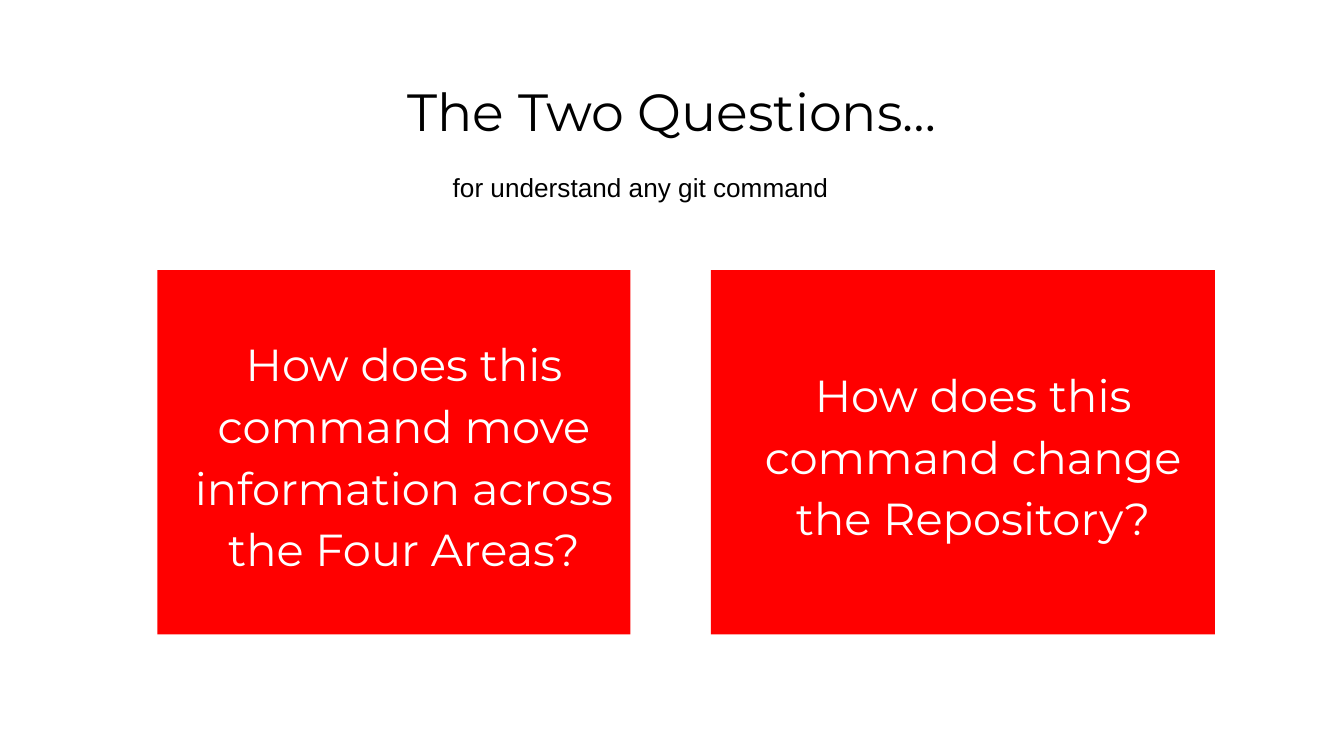
from dataclasses import dataclass

from pptx import Presentation
from pptx import util as u
from pptx.dml.color import RGBColor
from pptx.enum import shapes, text

EMU_PER_PX = 4572  # 200 px to the inch


@dataclass(frozen=True)
class Theme:
    black: RGBColor = RGBColor(0, 0, 0)
    white: RGBColor = RGBColor(255, 255, 255)
    red: RGBColor = RGBColor(255, 0, 0)
    display_font: str = "Montserrat"
    plain_font: str = "Arial"
    title_size: int = 28
    question_size: int = 24
    subtitle_size: int = 14


@dataclass(frozen=True)
class Box:
    left: int
    top: int
    width: int
    height: int

    def emu(self) -> tuple[int, ...]:
        return tuple(px(n) for n in (self.left, self.top, self.width, self.height))


@dataclass(frozen=True)
class Question:
    left: int
    width: int
    wording: str


THEME = Theme()
SLIDE_WIDTH, SLIDE_HEIGHT = 2000, 1125
TITLE_BOX = Box(68, 98, 1864, 126)
SUBTITLE_BOX = Box(654, 246, 602, 68)
CARD_TOP, CARD_HEIGHT, CARD_INDENT = 402, 542, 30
INSET = 20
QUESTIONS = (
    Question(234, 704, "How does this command move information across the Four Areas?"),
    Question(1058, 750, "How does this command change the Repository?"),
)


def px(length: int) -> int:
    return u.Emu(length * EMU_PER_PX)


def write(shape, wording: str, font: str, size: int, color: RGBColor,
          align=text.PP_ALIGN.CENTER, anchor=text.MSO_ANCHOR.TOP):
    """Fill a shape with one styled paragraph and return the paragraph."""
    frame = shape.text_frame
    frame.vertical_anchor = anchor
    paragraph = frame.paragraphs[0]
    paragraph.alignment = align
    run = paragraph.add_run()
    run.text = wording
    run.font.name = font
    run.font.size = u.Pt(size)
    run.font.color.rgb = color
    return paragraph


def set_insets(shape) -> None:
    frame = shape.text_frame
    frame.word_wrap = True
    frame.margin_left = frame.margin_right = px(INSET)
    frame.margin_top = frame.margin_bottom = px(INSET)


def add_title(slide) -> None:
    shape = slide.shapes.add_textbox(*TITLE_BOX.emu())
    set_insets(shape)
    write(shape, "The Two Questions…", THEME.display_font, THEME.title_size, THEME.black)


def add_subtitle(slide) -> None:
    shape = slide.shapes.add_textbox(*SUBTITLE_BOX.emu())
    shape.text_frame.word_wrap = False
    shape.text_frame.auto_size = text.MSO_AUTO_SIZE.SHAPE_TO_FIT_TEXT
    write(shape, "for understand any git command", THEME.plain_font,
          THEME.subtitle_size, THEME.black, align=text.PP_ALIGN.LEFT)


def add_question(slide, question: Question) -> None:
    box = Box(question.left, CARD_TOP, question.width, CARD_HEIGHT)
    shape = slide.shapes.add_shape(shapes.MSO_SHAPE.RECTANGLE, *box.emu())
    shape.shadow.inherit = False
    shape.fill.solid()
    shape.fill.fore_color.rgb = THEME.red
    shape.line.fill.background()
    set_insets(shape)
    paragraph = write(shape, question.wording, THEME.display_font, THEME.question_size,
                      THEME.white, anchor=text.MSO_ANCHOR.MIDDLE)
    paragraph.line_spacing = 1.15
    properties = paragraph._p.get_or_add_pPr()
    properties.set("marL", str(px(CARD_INDENT)))
    properties.set("indent", "0")


def main() -> None:
    presentation = Presentation()
    presentation.slide_width = px(SLIDE_WIDTH)
    presentation.slide_height = px(SLIDE_HEIGHT)
    slide = presentation.slides.add_slide(presentation.slide_layouts[6])
    slide.background.fill.solid()
    slide.background.fill.fore_color.rgb = THEME.white
    add_title(slide)
    for question in QUESTIONS:
        add_question(slide, question)
    add_subtitle(slide)
    presentation.save("out.pptx")


if __name__ == "__main__":
    main()
